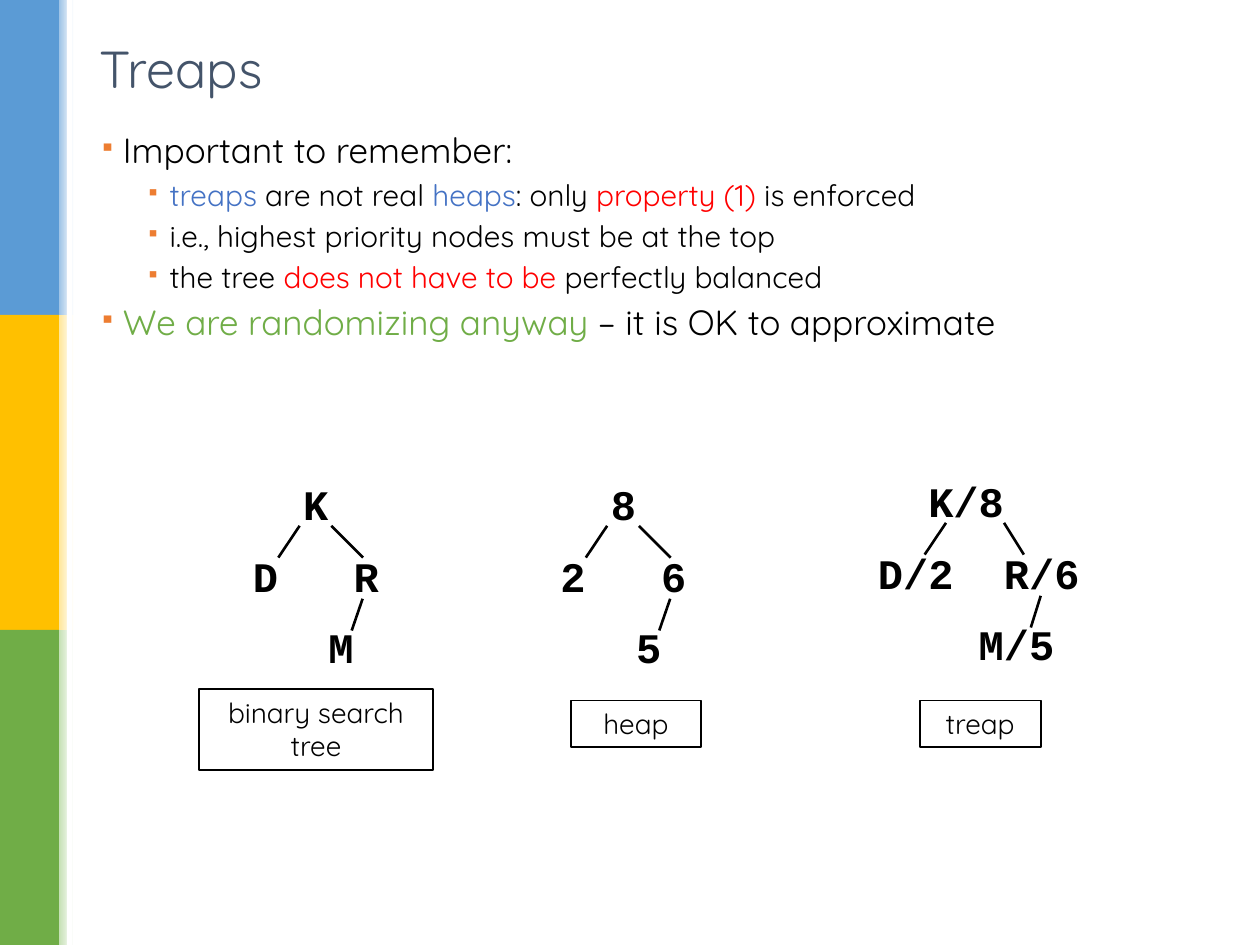
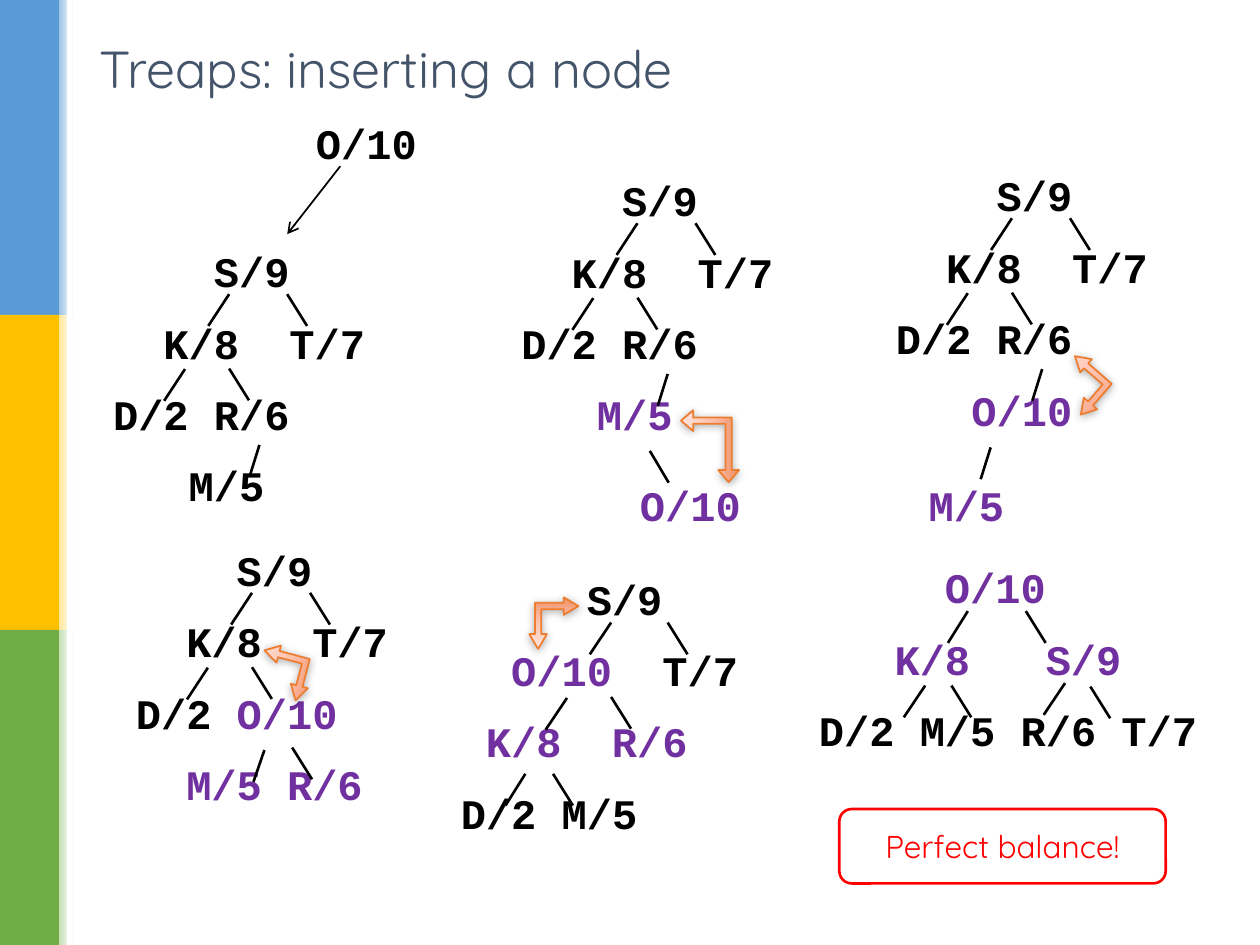
from lxml import etree
from pptx import Presentation
from pptx.dml.color import RGBColor
from pptx.enum.shapes import MSO_CONNECTOR, MSO_SHAPE
from pptx.enum.text import MSO_ANCHOR, PP_ALIGN
from pptx.oxml.ns import qn
from pptx.util import Cm, Pt

RECT = MSO_SHAPE.RECTANGLE
ROUND = MSO_SHAPE.ROUNDED_RECTANGLE
BENT = MSO_SHAPE.LEFT_UP_ARROW
LINE = MSO_CONNECTOR.STRAIGHT
TOP, MIDDLE = MSO_ANCHOR.TOP, MSO_ANCHOR.MIDDLE
CENTER = PP_ALIGN.CENTER

SANS, MONO = "Quicksand", "Courier New"
HEX = {
    "black": "000000", "white": "FFFFFF", "title": "44546A",
    "blue": "4472C4", "red": "FF0000", "green": "70AD47",
    "purple": "7030A0", "orange": "ED7D31",
}
# Side bands from top to bottom: solid colour, start of the fade
BANDS = [("5B9BD5", "9DC3E6"), ("FFC000", "FFE699"), ("70AD47", "C5E0B4")]
GLOW = [(0, "EF9166"), (48, "FFC2AF"), (100, "FFE6DF")]

CHAR = 14.4    # width of one 24 pt mono character, pt
ROW = 1.45     # distance between tree rows, cm
DROP = 0.64    # height of every tree edge, cm

# Tree edges: x and y from the corner of the tree, then run to the right
SMALL = [(1.7, 1.07, -0.43), (2.34, 1.07, 0.64), (2.97, 2.54, -0.22)]
WIDE = [(2.13, 1.07, -0.43), (3.3, 1.07, 0.4), (4.04, 2.54, -0.2)]
UPPER = [(2.59, 1.1, -0.42), (3.76, 1.1, 0.4),
         (2.59, 2.6, 0.4), (1.7, 2.61, -0.42)]
CHAIN = UPPER + [(3.2, 4.14, -0.2)]
FORK = UPPER + [(2.84, 4.27, -0.22), (3.4, 4.22, 0.4)]
LIFTED = [(3.28, 1.12, -0.43), (4.42, 1.12, 0.4), (3.28, 2.62, 0.4),
          (2.39, 2.64, -0.43), (1.55, 4.17, -0.4), (2.11, 4.17, 0.4)]
FULL = [(3.25, 1.12, -0.4), (4.42, 1.12, 0.4), (2.39, 2.62, -0.43),
        (2.92, 2.62, 0.4), (5.72, 2.64, 0.4), (5.21, 2.57, -0.43)]

# Tree rows: column -> node
HEAD = [{4: "S/9"}, {2: "K/8", 7: "T/7"}]
BASE = HEAD + [{0: "D/2", 4: "R/6"}]


def rgb(code):
    return RGBColor.from_string(HEX.get(code, code))


def sub(node, tag, **attrs):
    return etree.SubElement(node, qn(tag), attrs)


def add_run(para, text, size, color, font=SANS, bold=False):
    run = para.add_run()
    run.text = text
    style(run, size, color, font, bold)
    return run


def style(run, size, color, font=SANS, bold=False):
    run.font.name, run.font.size, run.font.bold = font, Pt(size), bold
    run.font.color.rgb = rgb(color)


def fade(shape, stops, angle):
    """Fill a shape with a linear gradient."""
    shape.fill.gradient()
    shape.fill.gradient_angle = angle
    box = shape.element.spPr.find(".//" + qn("a:gsLst"))
    for old in list(box):
        box.remove(old)
    for pos, code in stops:
        stop = sub(box, "a:gs", pos=str(pos * 1000))
        sub(stop, "a:srgbClr", val=code)


def add_form(slide, kind, x, y, w, h, fill=None, line=None, weight=1):
    shape = slide.shapes.add_shape(kind, Cm(x), Cm(y), Cm(w), Cm(h))
    shape.shadow.inherit = False
    if fill:
        shape.fill.solid()
        shape.fill.fore_color.rgb = rgb(fill)
    else:
        shape.fill.background()
    if line:
        shape.line.color.rgb = rgb(line)
        shape.line.width = Pt(weight)
    else:
        shape.line.fill.background()
    return shape


def add_frame(slide, x, y, w, h):
    frame = slide.shapes.add_textbox(Cm(x), Cm(y), Cm(w), Cm(h)).text_frame
    frame.word_wrap = True
    return frame


def add_label(shape, text, size, color, anchor):
    frame = shape.text_frame
    frame.word_wrap = True
    frame.vertical_anchor = anchor
    frame.text = text
    para = frame.paragraphs[0]
    para.alignment = CENTER
    style(para.runs[0], size, color)


def add_line(slide, x1, y1, x2, y2, weight=1.5, head=False):
    line = slide.shapes.add_connector(LINE, Cm(x1), Cm(y1), Cm(x2), Cm(y2))
    line.line.color.rgb = rgb("black")
    line.line.width = Pt(weight)
    if head:
        sub(line.line._get_or_add_ln(), "a:tailEnd", type="arrow")
    sub(line.element.spPr, "a:effectLst")


def add_slide(deck, title, width):
    """Start a slide with the side bands and its title."""
    slide = deck.slides.add_slide(deck.slide_layouts[6])
    part = 6.35
    for i, (solid, pale) in enumerate(BANDS):
        add_form(slide, RECT, 0, i * part, 1.19, part, solid)
        edge = add_form(slide, RECT, 1.19, i * part, 0.3, part)
        fade(edge, [(0, pale), (100, HEX["white"])], 0)
    add_form(slide, RECT, 1.35, 0, 0.1, 3 * part, "white")

    frame = add_frame(slide, 1.75, 0.66, width, 1.42)
    frame.vertical_anchor = MIDDLE
    frame.text = title
    style(frame.paragraphs[0].runs[0], 29.7, "title")
    return slide


def add_points(slide, points):
    """Bullet list; each point is a level and its coloured pieces."""
    frame = add_frame(slide, 1.75, 2.57, 22.2, 16.05)
    for i, (level, pieces) in enumerate(points):
        para = frame.add_paragraph() if i else frame.paragraphs[0]
        size, left = (17, 1.42) if level else (20, 0.48)
        para.level = level
        para.line_spacing = 0.9
        if i:
            para.space_before = Pt(size * 0.3)
        props = para._p.get_or_add_pPr()
        props.set("marL", str(Cm(left)))
        props.set("indent", str(-Cm(0.48)))
        sub(sub(props, "a:buClr"), "a:srgbClr", val=HEX["orange"])
        sub(props, "a:buSzPct", val="65000")
        sub(props, "a:buChar", char="▪")
        for text, color in pieces:
            add_run(para, text, size, color)


def add_tree(slide, x, y, width, rows, edges=(), hot=()):
    """Rows of nodes set on character columns, joined by edges."""
    frame = add_frame(slide, x, y, width, 1.25 + ROW * (len(rows) - 1))
    for i, row in enumerate(rows):
        para = frame.add_paragraph() if i else frame.paragraphs[0]
        if i:
            para.space_before = Pt(12)
        end = start = min(row)
        props = para._p.get_or_add_pPr()
        props.set("marL", "0")
        props.set("indent", str(Pt(start * CHAR)))
        for col, node in row.items():
            if col > end:
                # One space, stretched to reach the next column
                gap = add_run(para, " ", 24, "black", MONO, True)
                extra = (col - end - 1) * CHAR
                gap.font._element.set("spc", str(round(extra * 100)))
            color = "purple" if node in hot else "black"
            add_run(para, node, 24, color, MONO, True)
            end = col + len(node)
    for dx, dy, run in edges:
        add_line(slide, x + dx, y + dy, x + dx + run, y + dy + DROP)


def add_swap(slide, x, y, turn, w=0.99, h=1.04, shape=(0.13, 0.179, 0.301)):
    """Bent double arrow between two nodes that change places."""
    arrow = add_form(slide, BENT, x, y, w, h, line="orange")
    arrow.rotation = turn
    for i, value in enumerate(shape):
        arrow.adjustments[i] = value
    fade(arrow, GLOW, 90)
    glow = sub(arrow.element.spPr.find(qn("a:effectLst")), "a:outerShdw",
               blurRad=str(Pt(5)), dist=str(Pt(1)), dir="5400000",
               rotWithShape="0")
    color = sub(glow, "a:srgbClr", val=HEX["black"])
    sub(color, "a:alpha", val="32000")


def draw_intro(deck):
    slide = add_slide(deck, "Treaps", 9.8)
    add_points(slide, [
        (0, [("Important to remember:", "black")]),
        (1, [("treaps ", "blue"), ("are not real", "black"),
             (" heaps", "blue"), (": only ", "black"),
             ("property (1)", "red"), (" is enforced", "black")]),
        (1, [("i.e., highest priority nodes must be at the top", "black")]),
        (1, [("the tree ", "black"), ("does not have to be ", "red"),
             ("perfectly balanced", "black")]),
        (0, [("We are randomizing anyway ", "green"),
             ("– it is OK to approximate", "black")]),
    ])
    # The three trees
    add_tree(slide, 4.34, 9.53, 3.61,
             [{3: "K"}, {1: "D", 5: "R"}, {4: "M"}], SMALL)
    add_tree(slide, 10.54, 9.53, 3.61,
             [{3: "8"}, {1: "2", 5: "6"}, {4: "5"}], SMALL)
    add_tree(slide, 16.94, 9.47, 7.26,
             [{3: "K/8"}, {1: "D/2", 6: "R/6"}, {5: "M/5"}], WIDE)
    # Their captions
    for text, x, y, w, h in [("binary search tree", 4.01, 13.89, 4.72, 1.63),
                             ("heap", 11.51, 14.12, 2.62, 0.94),
                             ("treap", 18.54, 14.12, 2.44, 0.94)]:
        box = add_form(slide, RECT, x, y, w, h, line="black")
        add_label(box, text, 16, "black", TOP)


def draw_insert(deck):
    slide = add_slide(deck, "Treaps: inserting a node", 22.2)
    # New node on its way in
    add_line(slide, 6.86, 3.35, 5.79, 4.72, 1, True)
    add_tree(slide, 6.12, 2.24, 2.59, [{0: "O/10"}])
    add_tree(slide, 2.03, 4.83, 5.69, BASE + [{3: "M/5"}], CHAIN)
    # Added as a leaf
    add_tree(slide, 10.26, 3.4, 5.69, BASE + [{3: "M/5"}],
             CHAIN + [(2.84, 5.69, 0.38)], ["M/5"])
    add_tree(slide, 12.65, 9.55, 2.59, [{0: "O/10"}], hot=["O/10"])
    # First rotation
    add_tree(slide, 17.81, 3.3, 5.69, BASE + [{3: "O/10"}],
             CHAIN + [(2.16, 5.72, -0.2)], ["O/10"])
    add_tree(slide, 18.47, 9.55, 2.59, [{0: "M/5"}], hot=["M/5"])
    # Later rotations
    add_tree(slide, 2.49, 10.85, 5.69,
             HEAD + [{0: "D/2", 4: "O/10"}, {2: "M/5", 6: "R/6"}],
             FORK, ["O/10", "M/5", "R/6"])
    add_tree(slide, 9.04, 11.43, 6.35,
             [{5: "S/9"}, {2: "O/10", 8: "T/7"}, {1: "K/8", 6: "R/6"},
              {0: "D/2", 4: "M/5"}], LIFTED, ["O/10", "K/8", "R/6"])
    add_tree(slide, 16.26, 11.2, 8.15,
             [{5: "O/10"}, {3: "K/8", 9: "S/9"},
              {0: "D/2", 4: "M/5", 8: "R/6", 12: "T/7"}],
             FULL, ["O/10", "K/8", "S/9"])
    # Verdict
    box = add_form(slide, ROUND, 16.92, 16.31, 6.58, 1.5, "white", "red", 1.5)
    add_label(box, "Perfect balance!", 18, "red", MIDDLE)
    # Swaps
    add_swap(slide, 13.59, 8.41, 270, 1.45, 1.17, (0.107, 0.179, 0.209))
    add_swap(slide, 21.36, 7.24, 310.9)
    add_swap(slide, 5.26, 13.03, 284.8)
    add_swap(slide, 10.67, 12.04, 180)


def main():
    deck = Presentation()
    deck.slide_width, deck.slide_height = Cm(25.4), Cm(19.05)
    draw_intro(deck)
    draw_insert(deck)
    deck.save("out.pptx")


if __name__ == "__main__":
    main()
